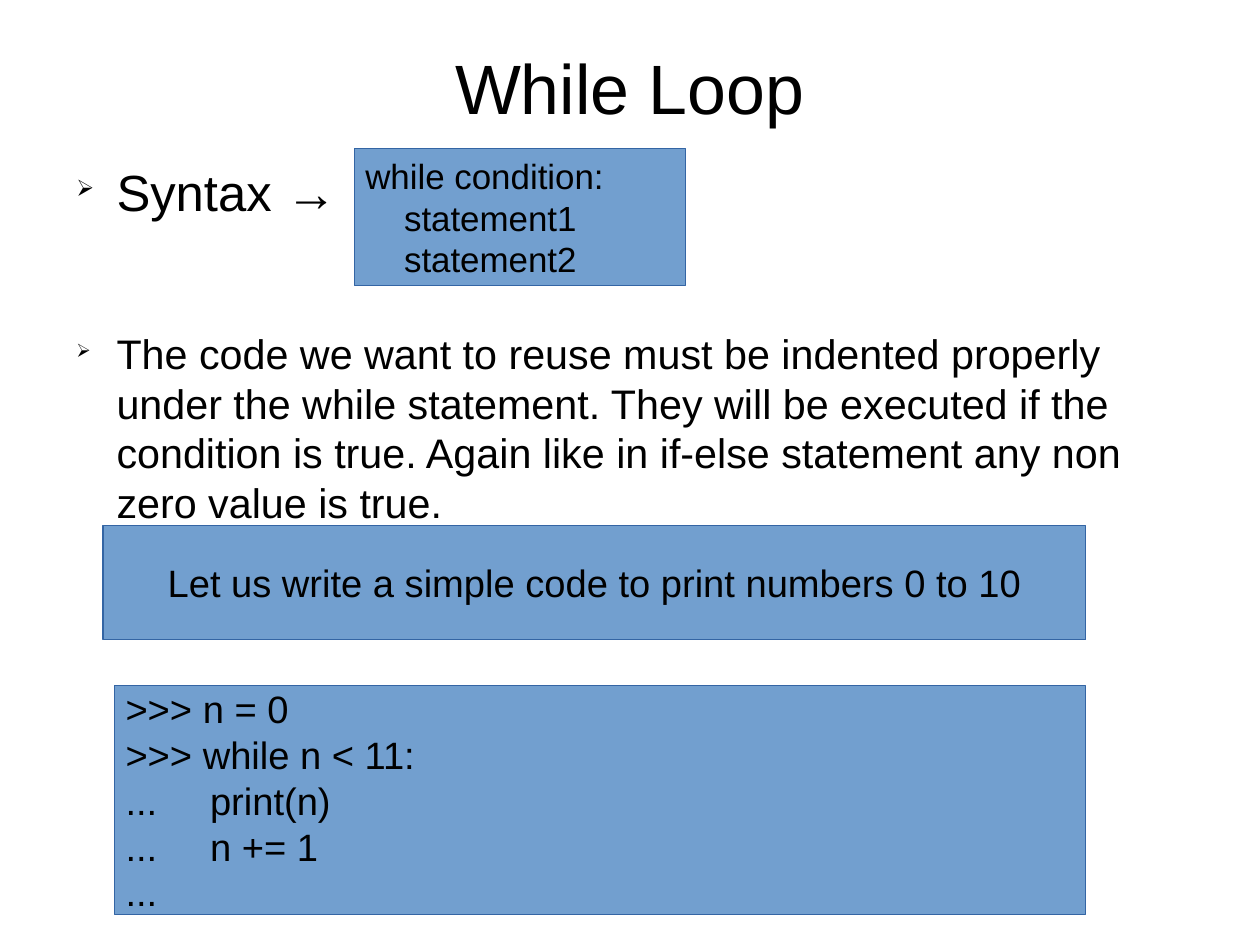
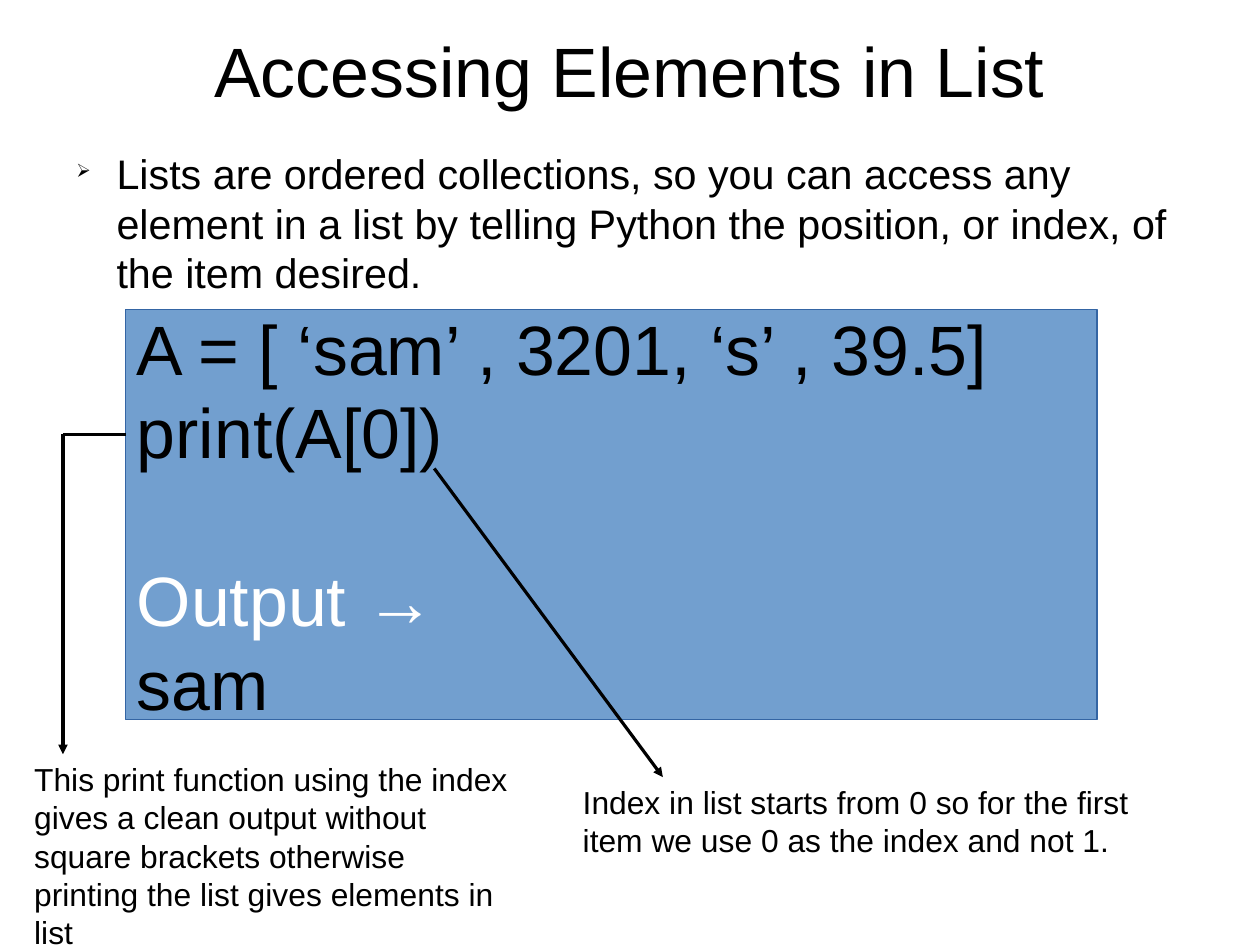
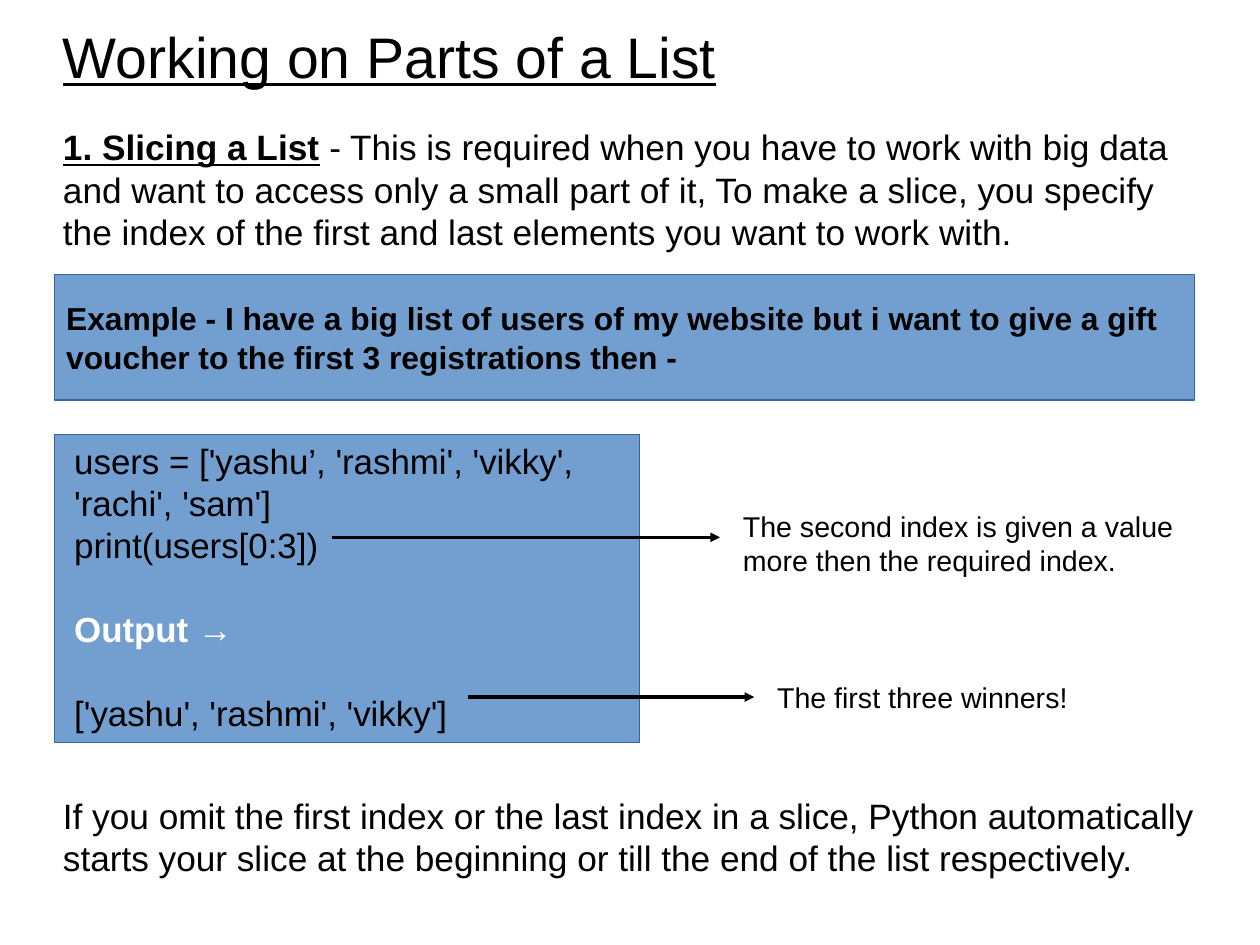
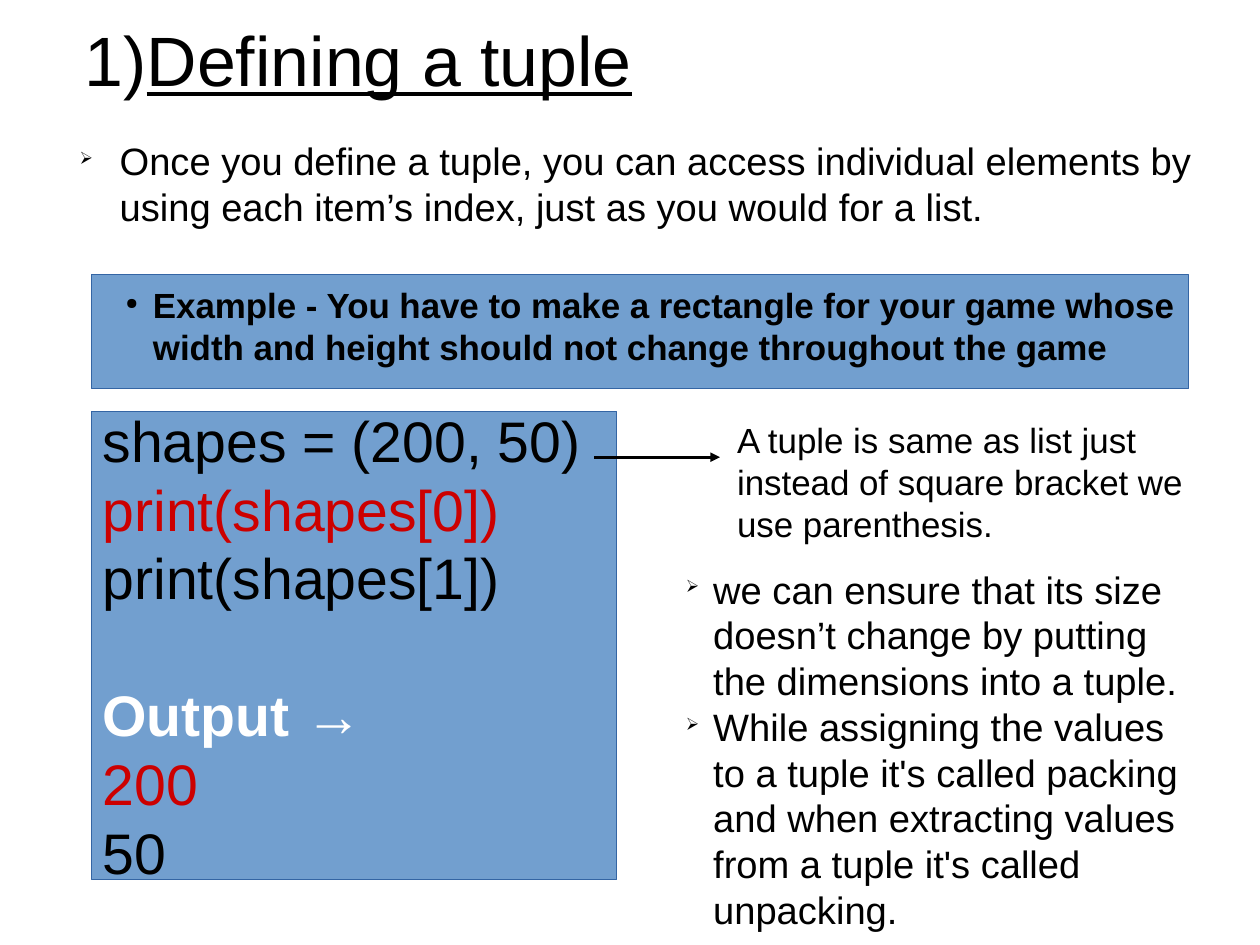
from dataclasses import dataclass

from lxml import etree
from pptx import Presentation
from pptx.dml.color import RGBColor
from pptx.enum.shapes import MSO_CONNECTOR, MSO_SHAPE
from pptx.enum.text import MSO_ANCHOR, PP_ALIGN
from pptx.oxml.ns import qn
from pptx.util import Cm, Pt

RECTANGLE = MSO_SHAPE.RECTANGLE
STRAIGHT = MSO_CONNECTOR.STRAIGHT
TOP, MIDDLE = MSO_ANCHOR.TOP, MSO_ANCHOR.MIDDLE
LEFT, CENTER = PP_ALIGN.LEFT, PP_ALIGN.CENTER

# Boxes are left, top, width, height; lines are x1, y1, x2, y2; all in cm.
# A gap is the space before a paragraph, counted in lines.
WIDE_INDENT = (1.19, 0.89)
NARROW_INDENT = (0.61, 0.61)
NO_INSETS = (0, 0, 0, 0)
PLAIN = {"insets": NO_INSETS}
BODY = {"insets": NO_INSETS, "bullet": "➢", "indent": WIDE_INDENT}
OUTPUT = {"text": "Output →", "color": "white", "gap": 1}
BOLD_OUTPUT = OUTPUT | {"bold": True}

SLIDES = [
    {
        "title": {"box": (1.4, 0.92, 25.2, 2), "lines": ["While Loop"],
                  "size": "title", "align": CENTER},
        "texts": [
            {"box": (1.4, 3.58, 25.2, 9.7), "size": "body", **BODY, "lines": [
                {"text": "Syntax →", "size": "lead"},
                {"text": "The code we want to reuse must be indented properly under "
                         "the while statement. They will be executed if the condition "
                         "is true. Again like in if-else statement any non zero value "
                         "is true.", "gap": 2.15}]},
        ],
        "panels": [
            {"box": (7.87, 3.3, 7.37, 3.05), "size": "code",
             "lines": ["while condition:", "    statement1", "    statement2"]},
            {"box": (2.29, 11.68, 21.84, 2.54), "size": "text", "align": CENTER,
             "lines": ["Let us write a simple code to print numbers 0 to 10"]},
            {"box": (2.54, 15.24, 21.59, 5.08), "size": "text",
             "lines": [">>> n = 0", ">>> while n < 11:", "...     print(n)",
                       "...     n += 1", "..."]},
        ],
    },
    {
        "title": {"box": (1.4, 0.55, 25.2, 2), "lines": ["Accessing Elements in List"],
                  "size": "title", "align": CENTER},
        "texts": [
            {"box": (1.4, 3.3, 25.2, 3.5), "size": "body", **BODY, "lines": [
                "Lists are ordered collections, so you can access any element in a list "
                "by telling Python the position, or index, of the item desired."]},
            {"box": (12.7, 17.27, 13.89, 2.39), "size": "note", "lines": [
                "Index in list starts from 0 so for the first item we use 0 as the index "
                "and not 1."]},
            {"box": (0.51, 16.76, 11.18, 4.19), "size": "note", "lines": [
                "This print function using the index gives a clean output without square "
                "brackets otherwise printing the list gives elements in list"]},
        ],
        "panels": [
            {"box": (2.79, 6.88, 21.59, 9.12), "size": "title",
             "lines": ["A = [ ‘sam’ , 3201, ‘s’ , 39.5]", "print(A[0])", OUTPUT, "sam"]},
        ],
        "lines": [(2.79, 9.65, 1.4, 9.65)],
        "arrows": [(9.65, 10.41, 14.73, 17.27), (1.4, 9.65, 1.4, 16.76)],
    },
    {
        "title": {"box": (1.4, 0.24, 25.2, 2), "size": "heading",
                  "lines": [{"text": "Working on Parts of a List", "underline": True}]},
        "texts": [
            {"box": (1.4, 2.79, 25.2, 3.2), "size": "prose", **PLAIN, "lines": [
                {"runs": [
                    {"text": "1. Slicing a List", "bold": True, "underline": True},
                    {"text": " - This is required when you have to work with big data and "
                             "want to access only a small part of it, To make a slice, you "
                             "specify the index of the first and last elements you want to "
                             "work with."}]}]},
            {"box": (1.4, 17.65, 25.2, 2.2), "size": "prose", **PLAIN, "lines": [
                "If you omit the first index or the last index in a slice, Python "
                "automatically starts your slice at the beginning or till the end of the "
                "list respectively."]},
            {"box": (16.26, 11.18, 10.67, 1.68), "size": "small", "lines": [
                "The second index is given a value more then the required index."]},
            {"box": (17.02, 14.99, 9.65, 0.97), "size": "small",
             "lines": ["The first three winners!"]},
        ],
        "panels": [
            {"box": (1.22, 6.1, 25.32, 2.79), "size": "note", "bold": True, "lines": [
                "Example - I have a big list of users of my website but i want to give a gift",
                "voucher to the first 3 registrations then -"]},
            {"box": (1.22, 9.65, 13, 6.86), "size": "code",
             "insets": (0.43, 0.13, 0.25, 0.13), "anchor": TOP,
             "lines": ["users = ['yashu’, 'rashmi', 'vikky', 'rachi', 'sam']",
                       "print(users[0:3])", BOLD_OUTPUT,
                       {"text": "['yashu', 'rashmi', 'vikky']", "gap": 1}]},
        ],
        "arrows": [(7.37, 11.94, 16, 11.94), (10.41, 15.49, 16.76, 15.49)],
    },
    {
        "title": {"box": (1.88, 0.3, 24.6, 2), "size": "title", "lines": [
            {"runs": [{"text": "1)"}, {"text": "Defining a tuple", "underline": True}]}]},
        "texts": [
            {"box": (1.47, 3.05, 25.2, 2.5), "size": "text", **BODY, "lines": [
                "Once you define a tuple, you can access individual elements by using each "
                "item’s index, just as you would for a list."]},
            {"box": (16.13, 9.17, 10.41, 2.84), "size": "code", "lines": [
                "A tuple is same as list just instead of square bracket we use "
                "parenthesis."]},
            {"box": (14.99, 12.45, 11.94, 7.8), "size": "text",
             "bullet": "➢", "indent": NARROW_INDENT, "lines": [
                 "we can ensure that its size doesn’t change by putting the dimensions "
                 "into a tuple.",
                 "While assigning the values to a tuple it's called packing and when "
                 "extracting values from a tuple it's called unpacking."]},
        ],
        "panels": [
            {"box": (2.03, 6.1, 24.38, 2.54), "size": "code", "bold": True,
             "bullet": "●", "indent": NARROW_INDENT,
             "insets": (0.76, 0.2, 0, 0.13), "anchor": TOP, "lines": [
                 "Example - You have to make a rectangle for your game whose width and "
                 "height should not change throughout the game"]},
            {"box": (2.03, 9.14, 11.68, 10.41), "size": "heading", "lines": [
                "shapes = (200, 50)", {"text": "print(shapes[0])", "color": "red"},
                "print(shapes[1])", BOLD_OUTPUT,
                {"text": "200", "color": "red"}, "50"]},
        ],
        "arrows": [(13.21, 10.16, 16, 10.16)],
    },
]


@dataclass(frozen=True)
class Theme:
    font = "Arial"
    line_height = 1.2
    bullet_percent = 45
    insets = (0.25, 0.13, 0.25, 0.13)
    colors = {"black": "000000", "white": "FFFFFF", "red": "CC0000",
              "panel": "729FCF", "border": "3465A4"}
    sizes = {"title": 44, "heading": 36, "lead": 32, "body": 26, "text": 24,
             "prose": 22.2, "code": 22, "note": 20, "small": 18}

    def color(self, name):
        return RGBColor.from_string(self.colors[name])


THEME = Theme()


def add_bullet(paragraph, character, indent):
    margin, hanging = indent
    properties = paragraph._p.get_or_add_pPr()
    properties.set("marL", str(Cm(margin)))
    properties.set("indent", str(-Cm(hanging)))
    color = etree.SubElement(properties, qn("a:buClr"))
    etree.SubElement(color, qn("a:srgbClr"), val=THEME.colors["black"])
    etree.SubElement(properties, qn("a:buSzPct"), val=str(THEME.bullet_percent * 1000))
    etree.SubElement(properties, qn("a:buChar"), char=character)


def write_text(shape, lines, *, size, color="black", bold=False, align=LEFT,
               anchor=TOP, insets=THEME.insets, bullet=None, indent=None):
    frame = shape.text_frame
    frame.word_wrap = True
    frame.vertical_anchor = anchor
    (frame.margin_left, frame.margin_top,
     frame.margin_right, frame.margin_bottom) = map(Cm, insets)
    for index, line in enumerate(lines):
        if isinstance(line, str):
            line = {"text": line}
        paragraph = frame.add_paragraph() if index else frame.paragraphs[0]
        paragraph.alignment = align
        if "gap" in line:
            paragraph.space_before = Pt(
                round(line["gap"] * THEME.line_height * THEME.sizes[size], 1))
        if bullet:
            add_bullet(paragraph, bullet, indent)
        for part in line.get("runs", [line]):
            run = paragraph.add_run()
            run.text = part["text"]
            run.font.name = THEME.font
            run.font.size = Pt(THEME.sizes[part.get("size", size)])
            run.font.bold = part.get("bold", bold)
            run.font.underline = part.get("underline", False)
            run.font.color.rgb = THEME.color(part.get("color", color))


def add_text(slide, box, lines, **text_format):
    write_text(slide.shapes.add_textbox(*map(Cm, box)), lines, **text_format)


def add_panel(slide, box, lines, **text_format):
    shape = slide.shapes.add_shape(RECTANGLE, *map(Cm, box))
    shape.shadow.inherit = False
    shape.fill.solid()
    shape.fill.fore_color.rgb = THEME.color("panel")
    shape.line.color.rgb = THEME.color("border")
    shape.line.width = Pt(0)
    write_text(shape, lines, **{"anchor": MIDDLE, **text_format})


def add_line(slide, ends, arrow=False):
    connector = slide.shapes.add_connector(STRAIGHT, *map(Cm, ends))
    connector.line.color.rgb = THEME.color("black")
    connector.line.width = Pt(0)
    if arrow:
        etree.SubElement(connector.line._get_or_add_ln(), qn("a:tailEnd"), type="triangle")
    etree.SubElement(connector._element.spPr, qn("a:effectLst"))


def main():
    presentation = Presentation()
    presentation.slide_width, presentation.slide_height = Cm(28), Cm(21)
    blank = presentation.slide_layouts[6]
    for content in SLIDES:
        slide = presentation.slides.add_slide(blank)
        add_text(slide, **content["title"], anchor=MIDDLE, insets=NO_INSETS)
        for panel in content["panels"]:
            add_panel(slide, **panel)
        for text in content["texts"]:
            add_text(slide, **text)
        for ends in content.get("lines", []):
            add_line(slide, ends)
        for ends in content.get("arrows", []):
            add_line(slide, ends, arrow=True)
    presentation.save("out.pptx")


if __name__ == "__main__":
    main()
